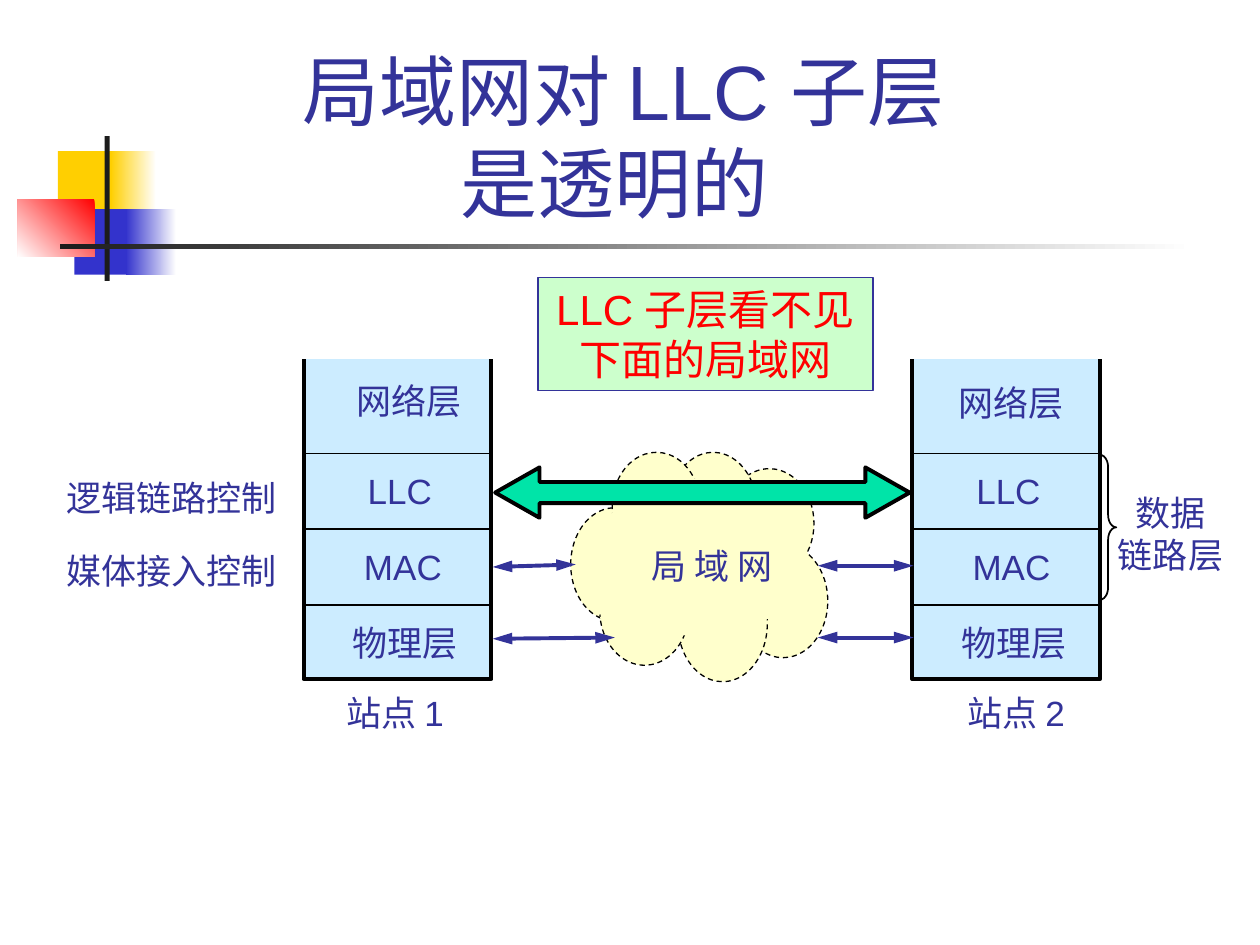
from lxml import etree
from pptx import Presentation
from pptx import util as u
from pptx.dml.color import RGBColor
from pptx.enum import dml, shapes, text
from pptx.oxml import ns

PX = 9144
NAVY = RGBColor(0x33, 0x33, 0x99)
BLUE = RGBColor(0x33, 0x33, 0xCC)
GOLD = RGBColor(0xFF, 0xCF, 0x01)
RED = RGBColor(0xFF, 0x00, 0x00)
WHITE = RGBColor(0xFF, 0xFF, 0xFF)
BLACK = RGBColor(0x00, 0x00, 0x00)
INK = RGBColor(0x1C, 0x1C, 0x1C)
CREAM = RGBColor(0xFF, 0xFF, 0xCC)
SKY = RGBColor(0xCC, 0xEC, 0xFF)
MINT = RGBColor(0xCC, 0xFF, 0xCC)
GREEN = RGBColor(0x00, 0xE4, 0xA8)
KIND = shapes.MSO_SHAPE


def paint(shape, fill=None, line=None, width=1, dash=False):
    shape.shadow.inherit = False
    if fill is None:
        shape.fill.background()
    else:
        shape.fill.solid()
        shape.fill.fore_color.rgb = fill
    if line is None:
        shape.line.fill.background()
    else:
        shape.line.color.rgb = line
        shape.line.width = u.Pt(width)
        if dash:
            shape.line.dash_style = dml.MSO_LINE.DASH
    return shape


def form(slide, kind, x, y, w, h, **style):
    shape = slide.shapes.add_shape(kind, x * PX, y * PX, w * PX, h * PX)
    return paint(shape, **style)


def fade(slide, x, y, w, h, start, end, angle=180):
    shape = form(slide, KIND.RECTANGLE, x, y, w, h)
    shape.fill.gradient()
    shape.fill.gradient_angle = angle
    for stop, color in zip(shape.fill.gradient_stops, (start, end)):
        stop.color.rgb = color


def outline(slide, points, closed=False, **style):
    pen = slide.shapes.build_freeform(*points[0], scale=PX)
    pen.add_line_segments(points[1:], close=closed)
    return paint(pen.convert_to_shape(), **style)


def rule(slide, x1, y1, x2, y2, color=BLACK, width=1, heads=False):
    line = slide.shapes.add_connector(
        shapes.MSO_CONNECTOR.STRAIGHT, x1 * PX, y1 * PX, x2 * PX, y2 * PX)
    line.line.color.rgb = color
    line.line.width = u.Pt(width)
    if heads:
        for tag in ("a:headEnd", "a:tailEnd"):
            etree.SubElement(line.line._ln, ns.qn(tag),
                             type="triangle", w="med", len="lg")
    etree.SubElement(line._element.spPr, ns.qn("a:effectLst"))


def write(slide, words, x, y, w, h, size=20, color=NAVY, center=False,
          wrap=False, low=False, shape=None):
    if shape is None:
        shape = slide.shapes.add_textbox(x * PX, y * PX, w * PX, h * PX)
    frame = shape.text_frame
    frame.text = words
    frame.word_wrap = wrap
    frame.auto_size = (text.MSO_AUTO_SIZE.NONE if wrap
                       else text.MSO_AUTO_SIZE.SHAPE_TO_FIT_TEXT)
    frame.vertical_anchor = text.MSO_ANCHOR.BOTTOM if low else text.MSO_ANCHOR.TOP
    for para in frame.paragraphs:
        para.alignment = text.PP_ALIGN.CENTER if center else text.PP_ALIGN.LEFT
        for run in para.runs:
            run.font.size = u.Pt(size)
            run.font.name = "Arial"
            run.font.color.rgb = color


def emblem(slide, x, y):
    form(slide, KIND.RECTANGLE, x + 32, y + 12, 48, 52, fill=GOLD)
    fade(slide, x + 74, y + 12, 36, 52, WHITE, GOLD)
    form(slide, KIND.RECTANGLE, x + 45, y + 58, 46, 52, fill=BLUE)
    fade(slide, x + 86, y + 58, 40, 52, WHITE, BLUE)
    fade(slide, x, y + 50, 61, 46, RED, WHITE, angle=225)
    form(slide, KIND.RECTANGLE, x + 69, y, 4, 115, fill=INK)
    fade(slide, x + 34, y + 86, 900, 4, WHITE, INK)


def cloud(slide, x, y):
    puffs = [(133, 73, 71, 90), (0, 44, 70, 90), (122, 13, 71, 87),
             (85, 90, 71, 92), (23, 82, 71, 87), (78, 0, 70, 90),
             (33, 0, 70, 86)]
    for dx, dy, w, h in puffs:
        form(slide, KIND.OVAL, x + dx, y + dy, w, h,
             fill=CREAM, line=BLACK, width=0.75, dash=True)
    form(slide, KIND.OVAL, x + 18, y + 21, 170, 125, fill=CREAM)
    patch = [(25, 105), (27, 107), (29, 109), (28, 119),
             (25, 128), (23, 129), (20, 126), (22, 119)]
    outline(slide, [(x + dx, y + dy) for dx, dy in patch],
            closed=True, fill=CREAM)
    write(slide, "局 域 网", x + 54, y + 68, 118, 43)


def stack(slide, x, y, w, h, site, top, foot):
    outline(slide, [(x, y), (x, y + h), (x + w, y + h), (x + w, y)],
            fill=SKY, line=BLACK, width=2.25)
    for row in range(3):
        level = y + 75 + 60 * row
        rule(slide, x + 1, level, x + w - 1, level)
    labels = [("网络层", *top, 108), ("LLC", 41, 83, 71), ("MAC", 38, 143, 82),
              ("物理层", 29, 203, 108), (site, foot, 259, 108)]
    for words, dx, dy, wide in labels:
        write(slide, words, x + dx, y + dy, wide, 43)


def links(slide, x, y):
    ends = [(0, 79, 66, 77), (334, 78, 258, 78),
            (0, 136, 97, 135), (334, 135, 258, 135)]
    for x1, y1, x2, y2 in ends:
        rule(slide, x + x1, y + y1, x + x2, y + y2, NAVY, 2.25, heads=True)
    arrow = form(slide, KIND.LEFT_RIGHT_ARROW, x + 2, y, 329, 40,
                 fill=GREEN, line=BLACK, width=2.25)
    arrow.adjustments[0] = 0.42
    arrow.adjustments[1] = 0.88


def notes(slide, x, y):
    for row, words in enumerate(("逻辑链路控制", "媒体接入控制")):
        write(slide, words, x, y + 58 * row, 190, 43)


def brace(slide, x, y):
    shape = form(slide, KIND.RIGHT_BRACE, x, y, 13, 115, line=BLACK)
    shape.adjustments[0] = 0.75
    write(slide, "数据\n链路层", x + 2, y + 24, 108, 76, center=True)


def banner(slide, x, y, w, h):
    box = form(slide, KIND.RECTANGLE, x, y, w, h,
               fill=MINT, line=NAVY, width=0.75)
    write(slide, "LLC 子层看不见\n下面的局域网", x, y, w, h,
          size=24, color=RED, center=True, shape=box)


def main():
    deck = Presentation()
    deck.slide_width = 1000 * PX
    deck.slide_height = 750 * PX
    slide = deck.slides.add_slide(deck.slide_layouts[6])
    emblem(slide, 14, 108)
    cloud(slide, 453, 359)
    write(slide, "局域网对 LLC 子层\v是透明的 ", 120, 102, 750, 84,
          size=44, center=True, wrap=True, low=True)
    stack(slide, 241, 285, 149, 254, "站点 1", top=(32, 11), foot=24)
    stack(slide, 724, 285, 149, 254, "站点 2", top=(27, 13), foot=34)
    links(slide, 391, 371)
    notes(slide, 43, 373)
    brace(slide, 873, 361)
    banner(slide, 427, 220, 266, 90)
    deck.save("out.pptx")


if __name__ == "__main__":
    main()
